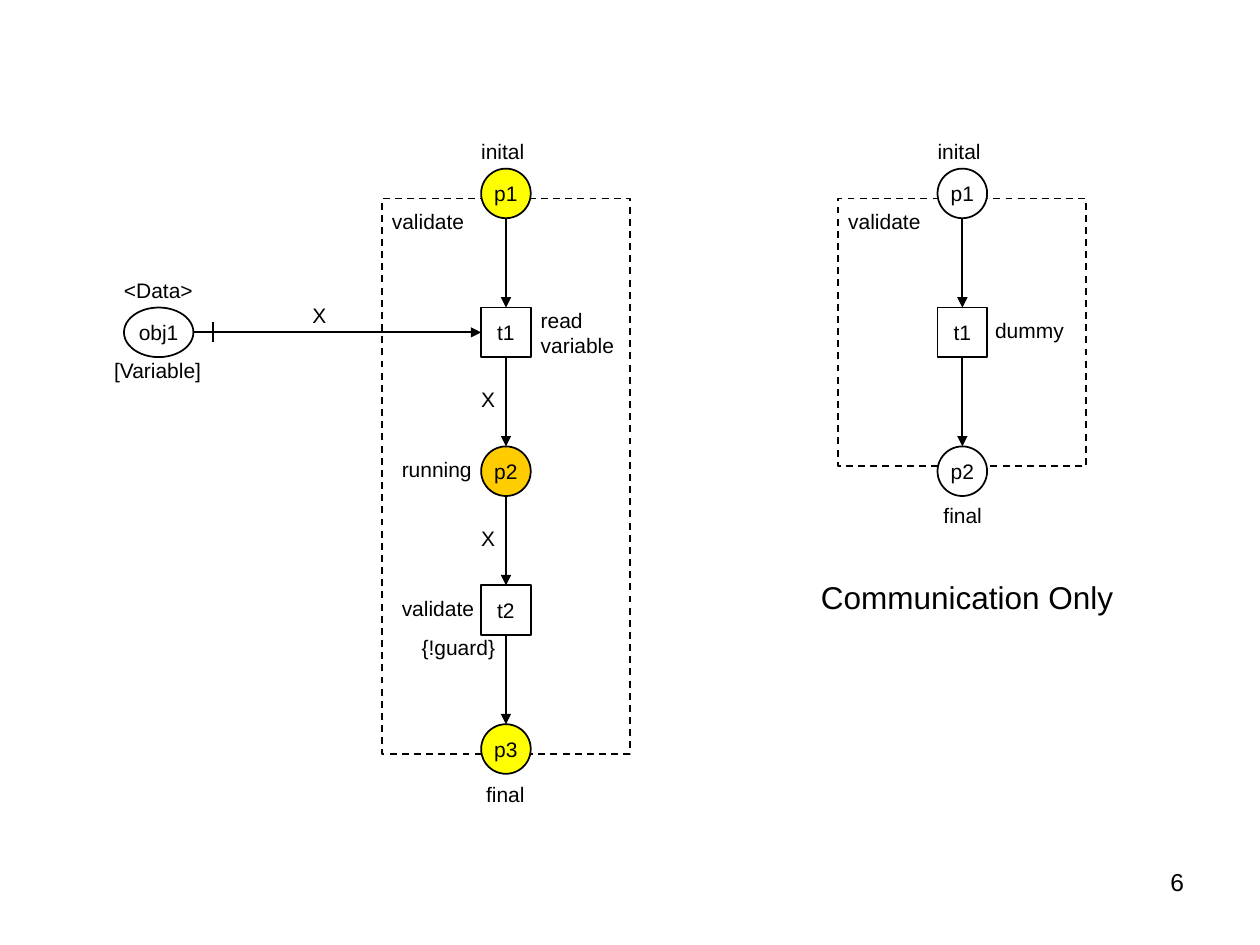
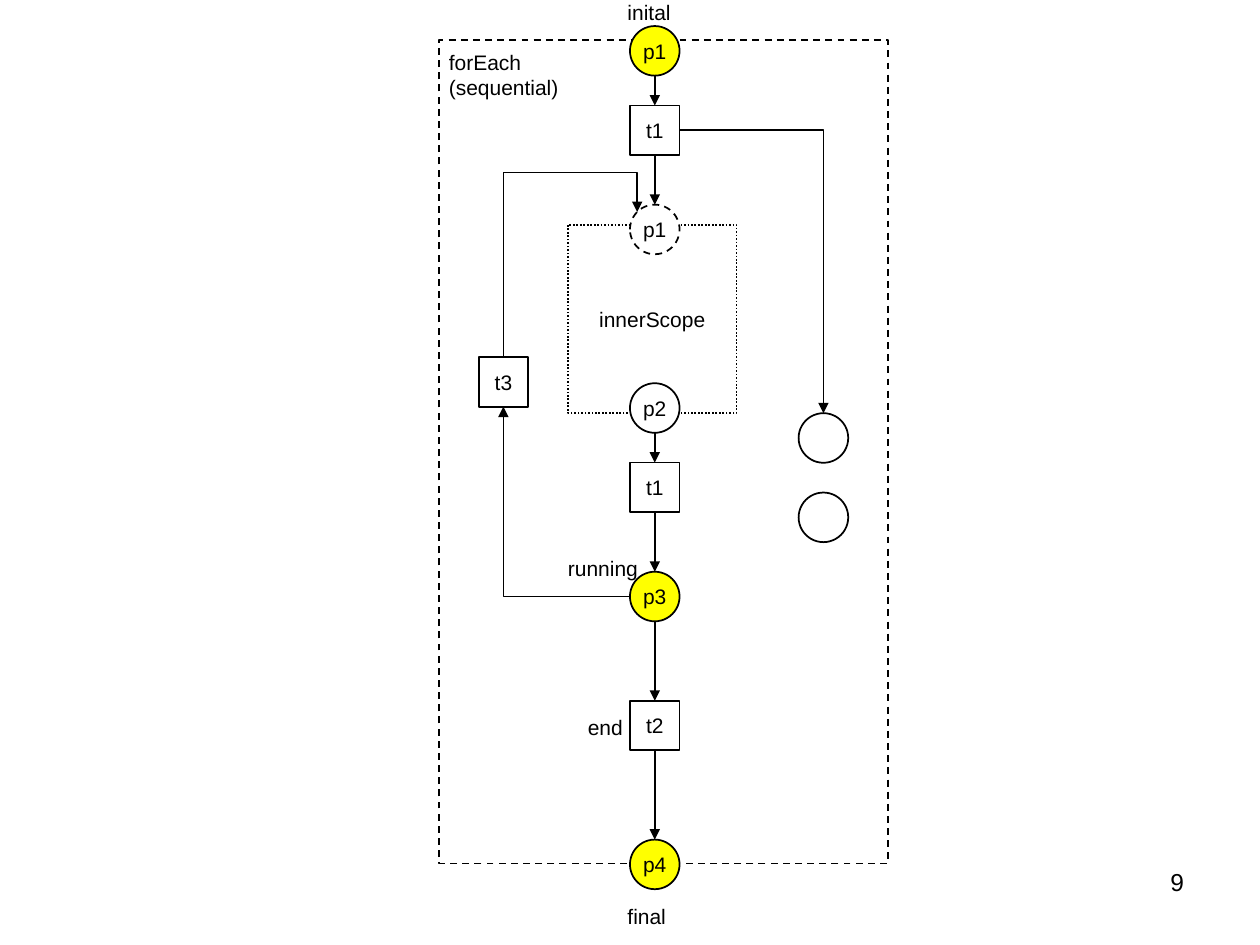
import pptx
import pptx.util
import pptx.dml.color
import pptx.enum.dml
import pptx.enum.shapes
import pptx.enum.text
import pptx.oxml
import pptx.oxml.ns

HUES = {"ink": "000000", "paper": "FFFFFF", "mark": "FFFF00", "busy": "FFCC00"}
FACE = "Arial"
CELL = 2   # grid step in millimetres
NODE = 5   # side of a place or transition, in cells
LINE = 2.5  # height of one line of label text, in cells

KIND = pptx.enum.shapes.MSO_SHAPE
LINK = pptx.enum.shapes.MSO_CONNECTOR
DASH = pptx.enum.dml.MSO_LINE
ALIGN = pptx.enum.text.PP_ALIGN
FIT = pptx.enum.text.MSO_AUTO_SIZE
MID = pptx.enum.text.MSO_ANCHOR.MIDDLE


def cells(*counts):
    return [pptx.util.Mm(CELL * count) for count in counts]


def hue(name):
    return pptx.dml.color.RGBColor.from_string(HUES[name])


def write(shape, text, size=12, align=ALIGN.LEFT, wrap=False, pad=(0, 0),
          anchor=None, fit=None):
    """Put formatted text in a shape; pad is (side, top) in inches."""
    frame = shape.text_frame
    frame.word_wrap = wrap
    frame.margin_left = frame.margin_right = pptx.util.Inches(pad[0])
    frame.margin_top = frame.margin_bottom = pptx.util.Inches(pad[1])
    if anchor is not None:
        frame.vertical_anchor = anchor
    if fit is not None:
        frame.auto_size = fit
    par = frame.paragraphs[0]
    par.text = text
    par.alignment = align
    for run in par.runs:
        run.font.size = pptx.util.Pt(size)
        run.font.name = FACE
        run.font.color.rgb = hue("ink")


class Net:
    """Draws Petri nets on a grid of cells."""

    def __init__(self, deck):
        self.deck = deck
        self.slide = None

    def start(self, number):
        self.slide = self.deck.slides.add_slide(self.deck.slide_layouts[6])
        self.label(number, 91, 86.75, 29.6, tall=6.6, size=14,
                   align=ALIGN.RIGHT, wrap=True, pad=(0.1, 0.05), fit=FIT.NONE)

    def label(self, text, x, y, wide, tall=None, **style):
        tall = tall or LINE * len(text.split("\n"))
        box = self.slide.shapes.add_textbox(*cells(x, y, wide, tall))
        write(box, text, **{"fit": FIT.SHAPE_TO_FIT_TEXT, **style})

    def stroke(self, line, dash=None):
        line.color.rgb = hue("ink")
        line.width = pptx.util.Pt(1)
        if dash is not None:
            line.dash_style = dash

    def shape(self, kind, x, y, wide, tall, text="", fill="paper", dash=None):
        form = self.slide.shapes.add_shape(kind, *cells(x, y, wide, tall))
        form.shadow.inherit = False
        if fill:
            form.fill.solid()
            form.fill.fore_color.rgb = hue(fill)
        else:
            form.fill.background()
        self.stroke(form.line, dash)
        if text:
            write(form, text, align=ALIGN.CENTER, pad=(0.1, 0.05), anchor=MID)

    def scope(self, x, y, wide, tall):
        self.shape(KIND.RECTANGLE, x, y, wide, tall, fill=None, dash=DASH.DASH)

    def place(self, text, x, y, wide=NODE, **style):
        self.shape(KIND.OVAL, x, y, wide, NODE, text, **style)

    def step(self, text, x, y):
        self.shape(KIND.RECTANGLE, x, y, NODE, NODE, text)

    def link(self, x1, y1, x2, y2, kind=LINK.STRAIGHT, head=True):
        wire = self.slide.shapes.add_connector(kind, *cells(x1, y1, x2, y2))
        self.stroke(wire.line)
        props = wire._element.spPr
        if head:
            props.find(pptx.oxml.ns.qn("a:ln")).append(pptx.oxml.parse_xml(
                "<a:tailEnd %s type='triangle'/>" % pptx.oxml.ns.nsdecls("a")))
        props.append(pptx.oxml.parse_xml(
            "<a:effectLst %s/>" % pptx.oxml.ns.nsdecls("a")))
        return props

    def chain(self, x, *rows):
        """Join the nodes of one column, given by their top rows."""
        mid = x + NODE / 2
        for top, low in zip(rows, rows[1:]):
            self.link(mid, top + NODE, mid, low)

    def bend(self, x1, y1, x2, y2):
        """Go sideways first, then up or down, with one corner."""
        props = self.link(x1, y1, x2, y2, LINK.ELBOW)
        props.find(pptx.oxml.ns.qn("a:prstGeom")).set("prst", "bentConnector2")

    def loop(self, x1, y1, x2, y2, peak):
        """Go up to the peak row, across, and down to a target on the right."""
        wide, tall = y1 - y2, x2 - x1
        left, top = (x1 + x2 - wide) / 2, (y1 + y2 - tall) / 2
        props = self.link(left + wide, top + tall, left, top, LINK.ELBOW)
        props.find(pptx.oxml.ns.qn("a:xfrm")).set("rot", str(90 * 60000))
        geom = props.find(pptx.oxml.ns.qn("a:prstGeom"))
        for old in list(geom):
            geom.remove(old)
        bend = round((y1 - peak) / wide * 100000)
        geom.append(pptx.oxml.parse_xml(
            "<a:avLst %s><a:gd name='adj1' fmla='val %d'/></a:avLst>"
            % (pptx.oxml.ns.nsdecls("a"), bend)))


def draw_read(net):
    """The validate scope that reads a variable."""
    x, first, read, run, check, last = 48.5, 17, 31, 45, 59, 73
    net.scope(x - 10, 20, 25, 56)
    net.place("p1", x, first, fill="mark")
    net.step("t1", x, read)
    net.place("p2", x, run, fill="busy")
    net.step("t2", x, check)
    net.place("p3", x, last, fill="mark")
    net.chain(x, first, read, run, check, last)

    net.place("obj1", 12.5, read, wide=7)
    net.link(19.5, read + NODE / 2, x, read + NODE / 2)
    net.link(21.5, 32.5, 21.5, 34.5, head=False)

    for text, left, top, wide in (
            ("inital", x, 14, 4.4), ("final", 49, 78.75, 4),
            ("validate", 39.5, 21, 7.6), ("read\nvariable", 54.5, 31, 7.8),
            ("running", 40.5, 46, 7.3), ("validate", 40.5, 60, 7.6),
            ("{!guard}", 42.5, 64, 7.8), ("<Data>", 12.5, 28, 7.2),
            ("[Variable]", 11.5, 36, 9.1), ("X", 31.5, 30.5, 1.5),
            ("X", x, 39, 1.5), ("X", x, 53, 1.5)):
        net.label(text, left, top, wide)


def draw_plain(net):
    """The validate scope that only communicates."""
    x, first, dummy, last = 94.5, 17, 31, 45
    net.scope(x - 10, 20, 25, 27)
    net.place("p1", x, first)
    net.step("t1", x, dummy)
    net.place("p2", x, last)
    net.chain(x, first, dummy, last)
    for text, left, top, wide in (
            ("inital", x, 14, 4.4), ("final", 95.1, 50.7, 4),
            ("validate", 85.5, 21, 7.6), ("dummy", 100.3, 32, 7.2)):
        net.label(text, left, top, wide)
    net.label("Communication Only", 81.5, 57.6, 32, tall=5.1, size=18,
              pad=(0.1, 0.05))


def draw_each(net):
    """The sequential forEach scope with its inner scope and loop."""
    x, half = 63.5, NODE / 2
    first, fork, enter, leave, join, run, end, last = [
        row + 0.63 for row in (2, 10, 20, 38, 46, 57, 70, 84)]
    back, side = (48.25, 36), 80.5

    net.scope(44.27, 4.05, 45.25, 83)
    net.shape(KIND.RECTANGLE, 57.25, 22.65, 17, 19, "innerScope",
              dash=DASH.ROUND_DOT)
    net.place("p1", x, first, fill="mark")
    net.step("t1", x, fork)
    net.place("p1", x, enter, dash=DASH.DASH)
    net.place("p2", x, leave)
    net.step("t1", x, join)
    net.place("p3", x, run, fill="mark")
    net.step("t2", x, end)
    net.place("p4", x, last, fill="mark")
    net.step("t3", *back)
    for row in (41.65, 49.65):
        net.place("", side, row)

    net.chain(x, first, fork, enter)
    net.chain(x, leave, join, run, end, last)
    net.bend(x + NODE, fork + half, side + half, 41.65)
    net.bend(x, run + half, back[0] + half, back[1] + NODE)
    net.loop(back[0] + half, back[1], 64.23, 21.38, peak=17.4)

    for text, left, top, wide in (
            ("inital", 63.25, 0, 4.4), ("final", 63.25, 91.05, 4),
            ("running", 57.25, 56, 7.3), ("end", 59.25, 72, 3.7),
            ("forEach\n(sequential)", 45.25, 5, 11.6)):
        net.label(text, left, top, wide)


def main():
    deck = pptx.Presentation()
    deck.slide_width = pptx.util.Inches(10)
    deck.slide_height = pptx.util.Inches(7.5)
    net = Net(deck)
    net.start("6")
    draw_read(net)
    draw_plain(net)
    net.start("9")
    draw_each(net)
    deck.save("out.pptx")


if __name__ == "__main__":
    main()
